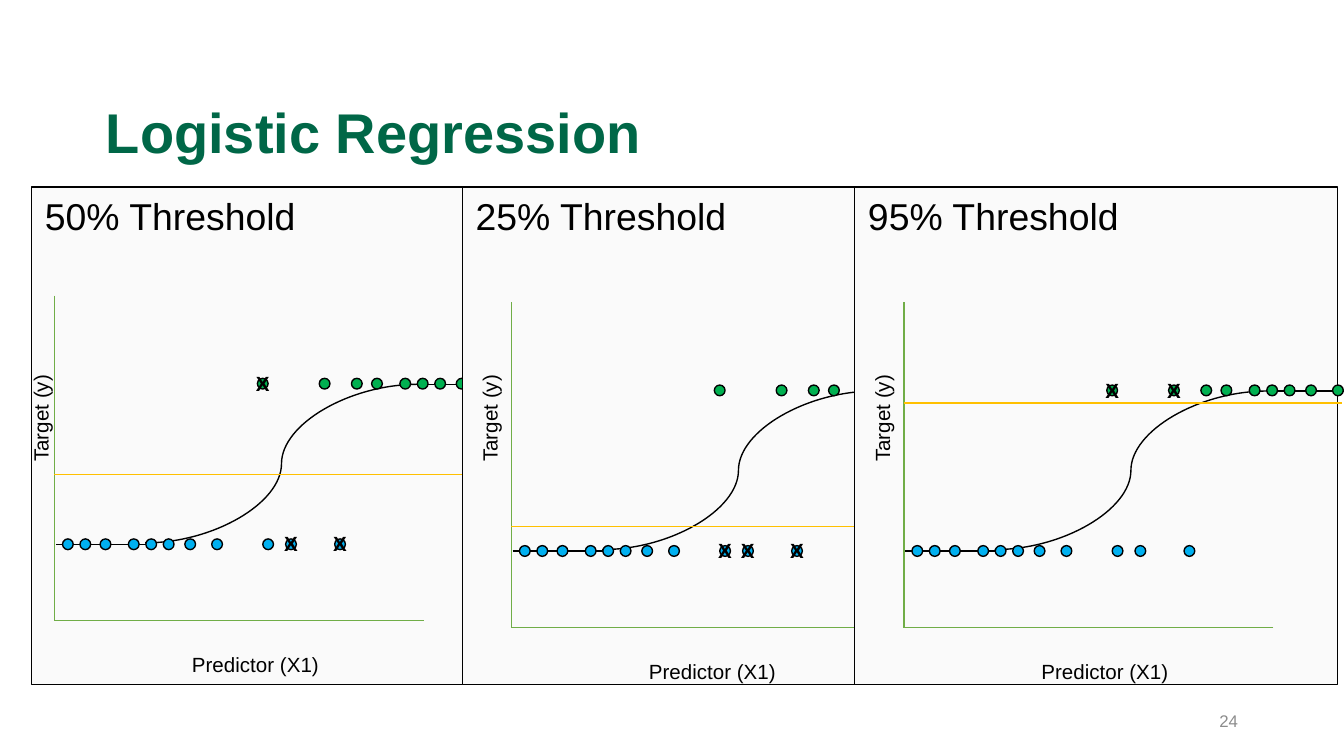
from lxml.etree import SubElement
from pptx import Presentation
from pptx.dml.color import RGBColor
from pptx.enum.shapes import MSO_CONNECTOR, MSO_SHAPE
from pptx.enum.text import MSO_ANCHOR, MSO_AUTO_SIZE, PP_ALIGN
from pptx.oxml.ns import qn
from pptx.util import Inches, Pt

COLORS = {
    "title": "006747", "text": "000000", "number": "8C8C8C", "panel": "FAFAFA",
    "axis": "70AD47", "threshold": "FFC000", "positive": "00B050", "negative": "00B0F0",
}

presentation = Presentation()
presentation.slide_width = Inches(10)
presentation.slide_height = presentation.slide_width * 9 // 16
slide = presentation.slides.add_slide(presentation.slide_layouts[6])

# Square grid: 100 columns across the slide, rows of the same size
UNIT = presentation.slide_width / 100


def add_text(text, left, top, width, height, size=11, color="text", bold=False,
             align=PP_ALIGN.LEFT, anchor=MSO_ANCHOR.TOP, wrap=False, rotation=0,
             spacing=None, fill=None):
    box = [round(value * UNIT) for value in (left, top, width, height)]
    if fill:
        shape = slide.shapes.add_shape(MSO_SHAPE.RECTANGLE, *box)
        shape.shadow.inherit = False
        shape.fill.solid()
        shape.fill.fore_color.rgb = RGBColor.from_string(COLORS[fill])
        shape.line.color.rgb = RGBColor.from_string(COLORS["text"])
        shape.line.width = Pt(0.75)
    else:
        shape = slide.shapes.add_textbox(*box)
    shape.rotation = rotation
    frame = shape.text_frame
    frame.word_wrap = wrap
    frame.auto_size = MSO_AUTO_SIZE.NONE if wrap else MSO_AUTO_SIZE.SHAPE_TO_FIT_TEXT
    frame.vertical_anchor = anchor
    paragraph = frame.paragraphs[0]
    paragraph.alignment = align
    paragraph.line_spacing = spacing
    run = paragraph.add_run()
    run.text = text
    run.font.name = "Arial"
    run.font.size = Pt(size)
    run.font.bold = bold
    run.font.color.rgb = RGBColor.from_string(COLORS[color])


def add_line(start, end, color="text", width=0.75, kind=MSO_CONNECTOR.STRAIGHT):
    ends = [round(value * UNIT) for value in (*start, *end)]
    connector = slide.shapes.add_connector(kind, *ends)
    connector.line.color.rgb = RGBColor.from_string(COLORS[color])
    connector.line.width = Pt(width)
    SubElement(connector._element.spPr, qn("a:effectLst"))


# Title and slide number
add_text("Logistic Regression", 6.9, 6.3, 86.2, 7.6, size=30, color="title", bold=True,
         anchor=MSO_ANCHOR.MIDDLE, wrap=True, spacing=0.9)
add_text("24", 70.6, 52.15, 22.5, 3, size=9, color="number", align=PP_ALIGN.RIGHT,
         anchor=MSO_ANCHOR.MIDDLE, wrap=True)

# Observations: columns right of the y axis, shared by all panels
DOT = 0.8
POSITIVES = [15.1, 19.7, 22.1, 23.6, 25.7, 27, 28.3, 29.9, 31.9]
NEGATIVES = [0.6, 1.9, 3.4, 5.5, 6.8, 8.1, 9.7, 11.7, 15.5, 17.2, 20.85]

# Each panel shows the first `positives` green dots; wrong guesses are dot indexes
PANELS = [
    dict(title="50% Threshold", left=2.35, width=34.4, axis=4.05, top=22, label=-1.3,
         threshold=35.3, positives=8, plateau=True,
         wrong_positives=[0], wrong_negatives=[9, 10]),
    dict(title="25% Threshold", left=34.4, width=35.9, axis=38.05, top=22.5, label=32.1,
         threshold=39.2, positives=4, plateau=False,
         wrong_positives=[], wrong_negatives=[8, 9, 10]),
    dict(title="95% Threshold", left=63.6, width=35.9, axis=67.25, top=22.5, label=61.3,
         threshold=30, positives=9, plateau=True,
         wrong_positives=[0, 1], wrong_negatives=[]),
]

for panel in PANELS:
    axis, top = panel["axis"], panel["top"]
    base = top + 24.2

    # Frame, axes and axis titles
    add_text(panel["title"], panel["left"], 13.9, panel["width"], 37.05, size=20,
             wrap=True, fill="panel")
    add_line((axis, top), (axis, base), "axis")
    add_line((axis + 27.5, base), (axis, base), "axis", width=0.5)
    add_text("Predictor (X1)", axis + 9.25, base + 1.85, 11.5, 2.9)
    add_text("Target (y)", panel["label"], 29.55, 8.7, 2.9, rotation=270)

    # Logistic curve: flat start, S bend, flat end
    add_line((axis + 0.1, top + 18.5), (axis + 7.05, top + 18.5))
    add_line((axis + 6.75, top + 18.4), (axis + 27.05, top + 6.6), kind=MSO_CONNECTOR.CURVE)
    if panel["plateau"]:
        add_line((axis + 27.15, top + 6.6), (axis + 33.15, top + 6.6))

    # Dots of both classes
    marks = []
    for color, columns, row, wrong in (
        ("positive", POSITIVES[:panel["positives"]], 6.15, panel["wrong_positives"]),
        ("negative", NEGATIVES, 18.1, panel["wrong_negatives"]),
    ):
        for index, column in enumerate(columns):
            dot = slide.shapes.add_shape(
                MSO_SHAPE.OVAL, round((axis + column) * UNIT), round((top + row) * UNIT),
                round(DOT * UNIT), round(DOT * UNIT))
            dot.shadow.inherit = False
            dot.fill.solid()
            dot.fill.fore_color.rgb = RGBColor.from_string(COLORS[color])
            dot.line.color.rgb = RGBColor.from_string(COLORS["text"])
            dot.line.width = Pt(0.75)
            if index in wrong:
                marks.append((axis + column - 1.1, top + row - 1.05))

    # Threshold and crosses over the wrong guesses
    add_line((axis, panel["threshold"]), (axis + 32.6, panel["threshold"]), "threshold")
    for left, mark_top in marks:
        add_text("X", left, mark_top, 3.1, 2.9, bold=True)

presentation.save("out.pptx")
